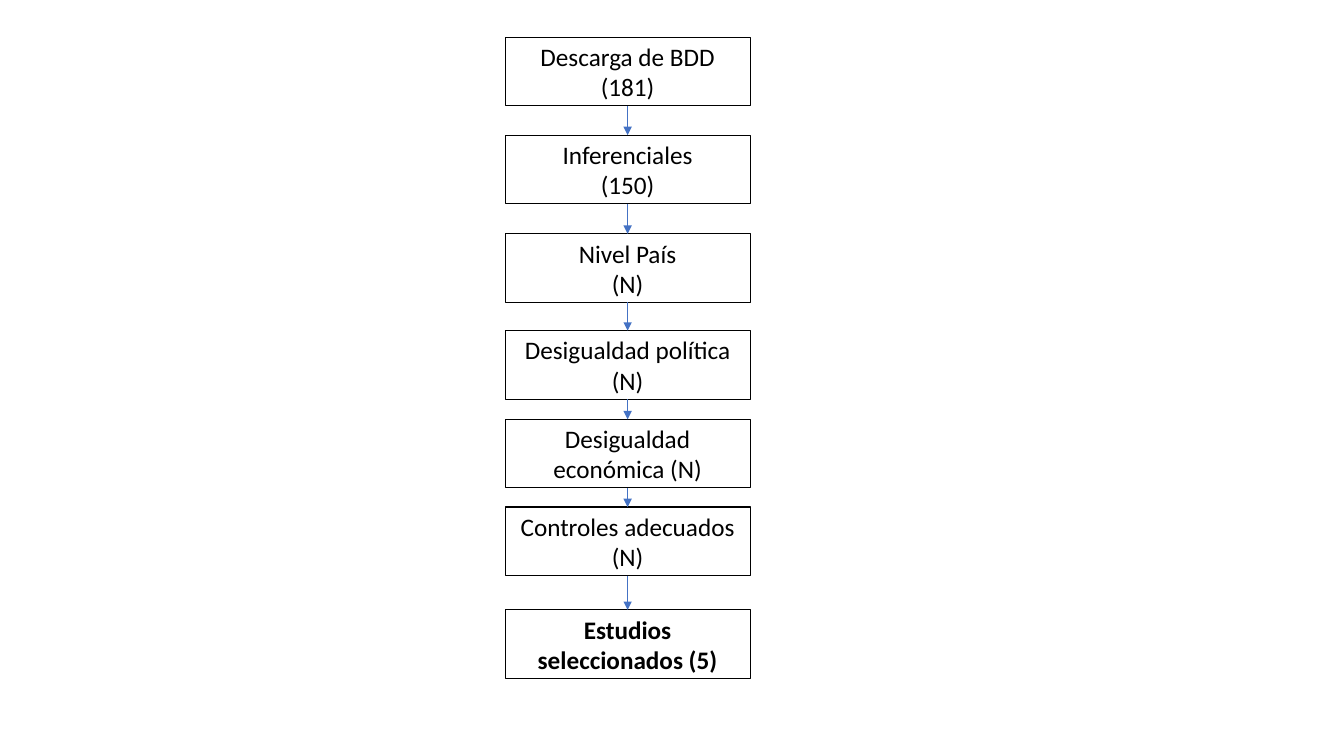
from dataclasses import dataclass

from lxml import etree
from pptx import Presentation
from pptx.dml.color import RGBColor
from pptx.enum.shapes import MSO_CONNECTOR, MSO_SHAPE
from pptx.enum.text import MSO_ANCHOR, PP_ALIGN
from pptx.oxml.ns import qn
from pptx.util import Inches, Pt

RECTANGLE = MSO_SHAPE.RECTANGLE
STRAIGHT = MSO_CONNECTOR.STRAIGHT
MIDDLE = MSO_ANCHOR.MIDDLE
CENTER = PP_ALIGN.CENTER
BLANK_LAYOUT = 6


@dataclass(frozen=True)
class Theme:
    """Colours, font and sizes of the flow chart."""
    ink: RGBColor = RGBColor(0x00, 0x00, 0x00)
    arrow: RGBColor = RGBColor(0x44, 0x72, 0xC4)
    font: str = "Calibri"
    text_size: Pt = Pt(18)
    border_width: Pt = Pt(0.75)
    arrow_width: Pt = Pt(0.5)


THEME = Theme()
BOX_LEFT, BOX_WIDTH, BOX_HEIGHT = Inches(5.01), Inches(2.43), Inches(0.68)
STEPS = [
    (0.37, "Descarga de BDD\v(181)"),
    (1.34, "Inferenciales\v(150)"),
    (2.32, "Nivel País\v(N)"),
    (3.28, "Desigualdad política\v(N)"),
    (4.16, "Desigualdad económica (N)"),
    (5.03, "Controles adecuados (N)"),
    (6.05, "Estudios seleccionados (5)"),
]


def add_step(slide, top, text, bold):
    """Add one outlined selection step and return its box."""
    box = slide.shapes.add_shape(RECTANGLE, BOX_LEFT, Inches(top), BOX_WIDTH, BOX_HEIGHT)
    box.shadow.inherit = False
    box.fill.background()
    box.line.color.rgb = THEME.ink
    box.line.width = THEME.border_width
    frame = box.text_frame
    frame.word_wrap = True
    frame.vertical_anchor = MIDDLE
    para = frame.paragraphs[0]
    para.text = text
    para.alignment = CENTER
    for span in para.runs:
        span.font.name = THEME.font
        span.font.size = THEME.text_size
        span.font.bold = bold
        span.font.color.rgb = THEME.ink
    return box


def add_arrow(slide, upper, lower):
    """Connect the bottom of one step to the top of the next."""
    arrow = slide.shapes.add_connector(STRAIGHT, 0, 0, 0, 0)
    arrow.begin_connect(upper, 2)
    arrow.end_connect(lower, 0)
    arrow.line.color.rgb = THEME.arrow
    arrow.line.width = THEME.arrow_width
    etree.SubElement(arrow.line._get_or_add_ln(), qn("a:tailEnd"), type="triangle")
    etree.SubElement(arrow._element.spPr, qn("a:effectLst"))


def main():
    """Build the study selection flow chart."""
    deck = Presentation()
    deck.slide_width, deck.slide_height = Inches(13.33), Inches(7.5)
    slide = deck.slides.add_slide(deck.slide_layouts[BLANK_LAYOUT])
    last_top = STEPS[-1][0]
    boxes = [add_step(slide, top, text, top == last_top) for top, text in STEPS]
    for upper, lower in zip(boxes, boxes[1:]):
        add_arrow(slide, upper, lower)
    deck.save("out.pptx")


if __name__ == "__main__":
    main()
